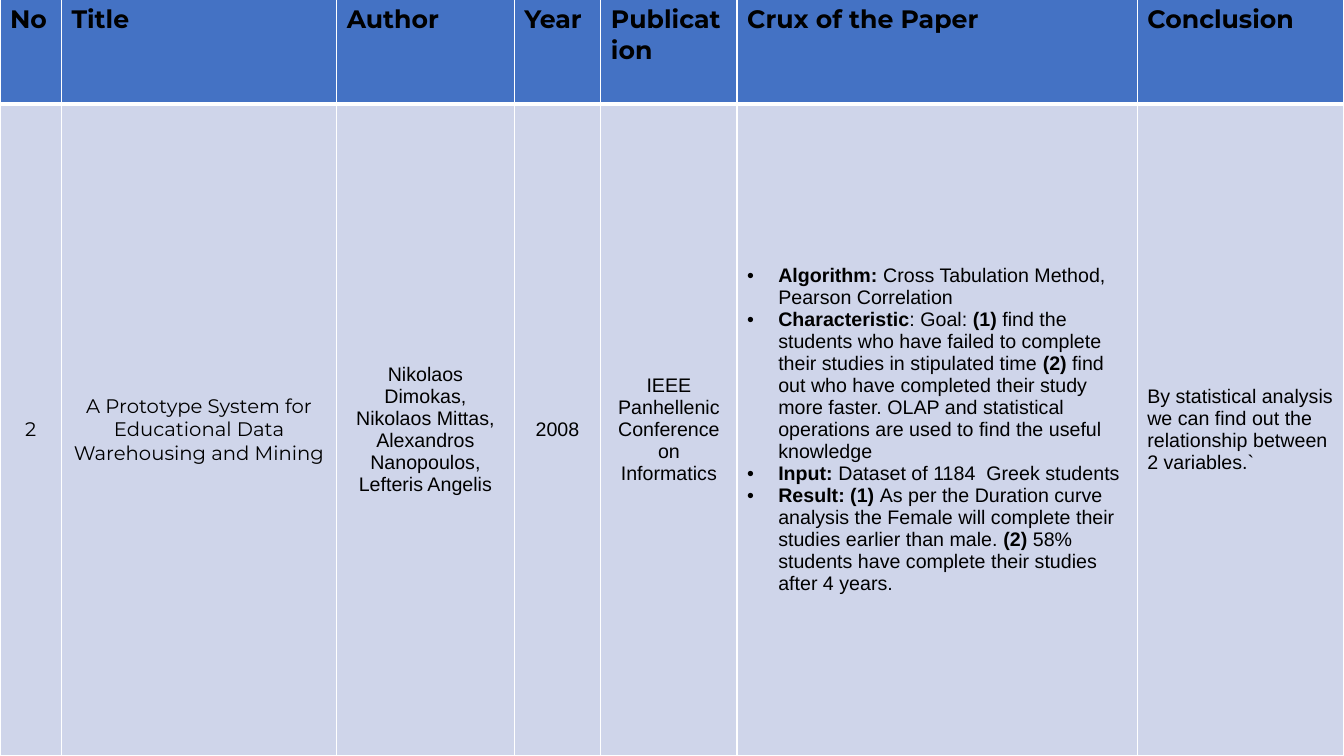
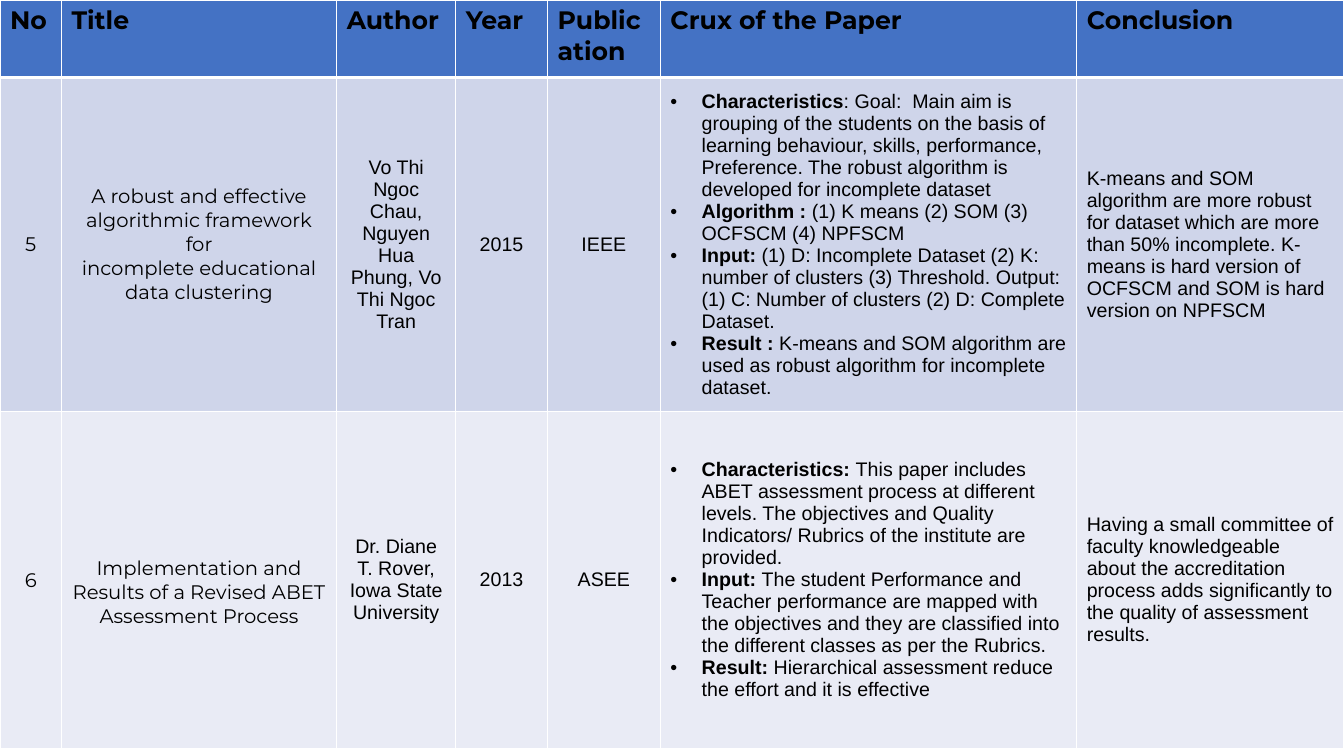
from lxml.etree import SubElement as Sub
from pptx import Presentation
from pptx.dml.color import RGBColor
from pptx.enum.text import MSO_ANCHOR as Anchor, PP_ALIGN as Align
from pptx.oxml.ns import qn
from pptx.util import Inches, Pt

# Shared look
BLACK = RGBColor(0x00, 0x00, 0x00)
WHITE = RGBColor(0xFF, 0xFF, 0xFF)
BLUE = RGBColor(0x44, 0x72, 0xC4)
BANDS = [RGBColor(0xCF, 0xD5, 0xEA), RGBColor(0xE9, 0xEB, 0xF5)]
HEAD_FONT, BODY_FONT = "Montserrat", "Arial"
WIDE, HIGH = 13.33, 7.5
HEADS = ["No", "Title", "Author", "Year", "Publication",
         "Crux of the Paper", "Conclusion"]
CRUX, LAST = 5, 6

# Papers: one tuple per row, ** switches bold on and off
DIMOKAS = (
    "2",
    ["A Prototype System for Educational Data Warehousing and Mining"],
    "Nikolaos Dimokas, Nikolaos Mittas, Alexandros Nanopoulos, "
    "Lefteris Angelis",
    "2008",
    "IEEE Panhellenic Conference on Informatics",
    ["**Algorithm: **Cross Tabulation Method, Pearson Correlation",
     "**Characteristic**: Goal: **(1) **find the students who have failed to "
     "complete their studies in stipulated time **(2) **find out who have "
     "completed their study more faster. OLAP and statistical operations are "
     "used to find the useful knowledge",
     "**Input: **Dataset of 1184  Greek students",
     "**Result: (1) **As per the Duration curve analysis the Female will "
     "complete their studies earlier than male. **(2) **58% students have "
     "complete their studies after 4 years."],
    "By statistical analysis we can find out the relationship between "
    "2 variables.`",
)
CHAU = (
    "5",
    ["A robust and effective algorithmic framework for",
     "incomplete educational data clustering"],
    "Vo Thi Ngoc Chau, Nguyen Hua Phung, Vo Thi Ngoc Tran",
    "2015",
    "IEEE",
    ["**Characteristics**: Goal:  Main aim is grouping of the students on the "
     "basis of learning behaviour, skills, performance, Preference. The robust "
     "algorithm is developed for incomplete dataset",
     "**Algorithm : **(1) K means (2) SOM (3) OCFSCM (4) NPFSCM",
     "**Input: **(1) D: Incomplete Dataset (2) K: number of clusters "
     "(3) Threshold. Output: (1) C: Number of clusters (2) D: Complete "
     "Dataset.",
     "**Result : **K-means and SOM algorithm are used as robust algorithm for "
     "incomplete dataset."],
    "K-means and SOM algorithm are more robust for dataset which are more than "
    "50% incomplete. K-means is hard version of OCFSCM and SOM is hard version "
    "on NPFSCM",
)
ROVER = (
    "6",
    ["Implementation and Results of a Revised ABET Assessment Process"],
    "Dr. Diane T. Rover, Iowa State University",
    "2013",
    "ASEE",
    ["**Characteristics: **This paper includes ABET assessment process at "
     "different levels. The objectives and Quality Indicators/ Rubrics of the "
     "institute are provided.",
     "**Input: **The student Performance and Teacher performance are mapped "
     "with the objectives and they are classified into the different classes "
     "as per the Rubrics.",
     "**Result: **Hierarchical assessment reduce the effort and it is "
     "effective"],
    "Having a small committee of faculty knowledgeable about the accreditation "
    "process adds significantly to the quality of assessment results.",
)


def add_dot(para):
    """Give a paragraph a hanging round bullet."""
    props = para._p.get_or_add_pPr()
    props.set("marL", str(Inches(0.31)))
    props.set("indent", str(-Inches(0.31)))
    Sub(props, qn("a:buFont")).set("typeface", BODY_FONT)
    Sub(props, qn("a:buChar")).set("char", "•")


def write(frame, lines, font=BODY_FONT, size=14, bold=False,
          align=Align.LEFT, dots=False):
    """Fill a text frame, one paragraph per line."""
    lines = [lines] if isinstance(lines, str) else lines
    for i, line in enumerate(lines):
        para = frame.add_paragraph() if i else frame.paragraphs[0]
        para.alignment = align
        if dots:
            add_dot(para)
        for j, part in enumerate(line.split("**")):
            if part:
                run = para.add_run()
                run.text = part
                run.font.name = font
                run.font.size = Pt(size)
                run.font.bold = bold or j % 2 == 1
                run.font.color.rgb = BLACK


def paint(cell, fill, top=1, bottom=1):
    """Draw white cell borders, then the fill."""
    props = cell._tc.get_or_add_tcPr()
    for side, width in zip("LRTB", (1, 1, top, bottom)):
        line = Sub(props, qn("a:ln" + side), w=str(Pt(width)))
        Sub(Sub(line, qn("a:solidFill")), qn("a:srgbClr"), val=str(WHITE))
    cell.fill.solid()
    cell.fill.fore_color.rgb = fill


def fill_head(grid):
    for col, name in enumerate(HEADS):
        cell = grid.cell(0, col)
        paint(cell, BLUE, bottom=3)
        write(cell.text_frame, name, font=HEAD_FONT, size=18, bold=True)


def fill_row(grid, row, paper):
    for col, words in enumerate(paper):
        cell = grid.cell(row, col)
        paint(cell, BANDS[(row - 1) % 2], top=3 if row == 1 else 1)
        cell.vertical_anchor = Anchor.MIDDLE
        write(cell.text_frame, words,
              font=HEAD_FONT if col < 2 else BODY_FONT,
              align=Align.LEFT if col in (CRUX, LAST) else Align.CENTER,
              dots=col == CRUX)


def add_grid(deck, box, cols, rows, papers):
    """Add a slide with a review table in the given box."""
    slide = deck.slides.add_slide(deck.slide_layouts[6])
    grid = slide.shapes.add_table(len(rows), len(cols),
                                  *map(Inches, box)).table
    grid.horz_banding = False
    for col, width in zip(grid.columns, cols):
        col.width = Inches(width)
    for row, height in zip(grid.rows, rows):
        row.height = Inches(height)
    fill_head(grid)
    for i, paper in enumerate(papers, 1):
        fill_row(grid, i, paper)
    return grid


def main():
    deck = Presentation()
    deck.slide_width, deck.slide_height = Inches(WIDE), Inches(HIGH)
    add_grid(deck, (0, -0.01, WIDE, 7.51),
             [0.61, 2.73, 1.76, 0.86, 1.35, 3.97, 2.05],
             [1.04, 6.47], [DIMOKAS])
    grid = add_grid(deck, (0, 0, WIDE, 7.43),
                    [0.61, 2.73, 1.18, 0.91, 1.12, 4.13, 2.65],
                    [0.77, 3.31, 3.35], [CHAU, ROVER])
    # The last title sits slightly below the middle
    grid.cell(2, 1).margin_top = Inches(0.29)
    deck.save("out.pptx")


if __name__ == "__main__":
    main()
